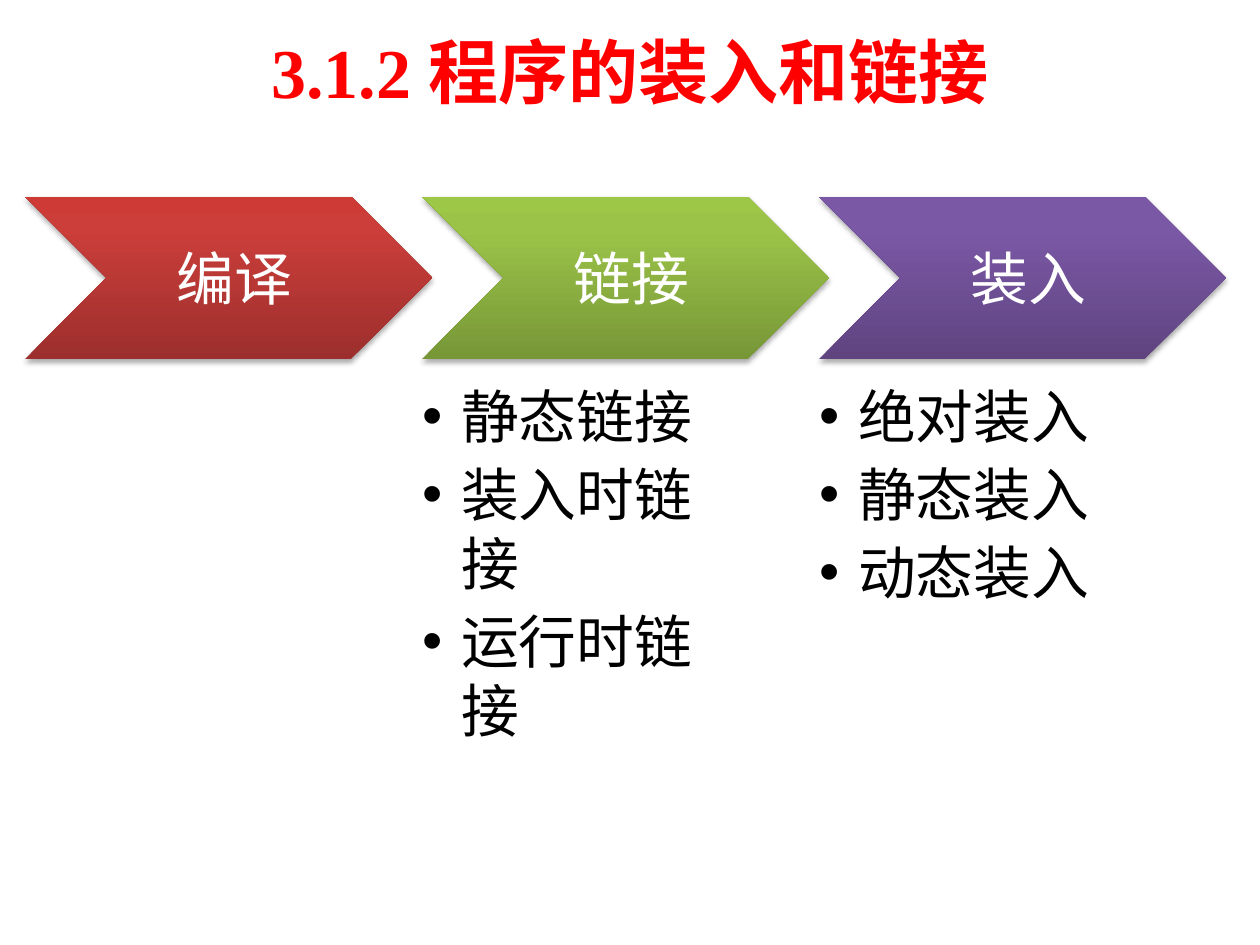
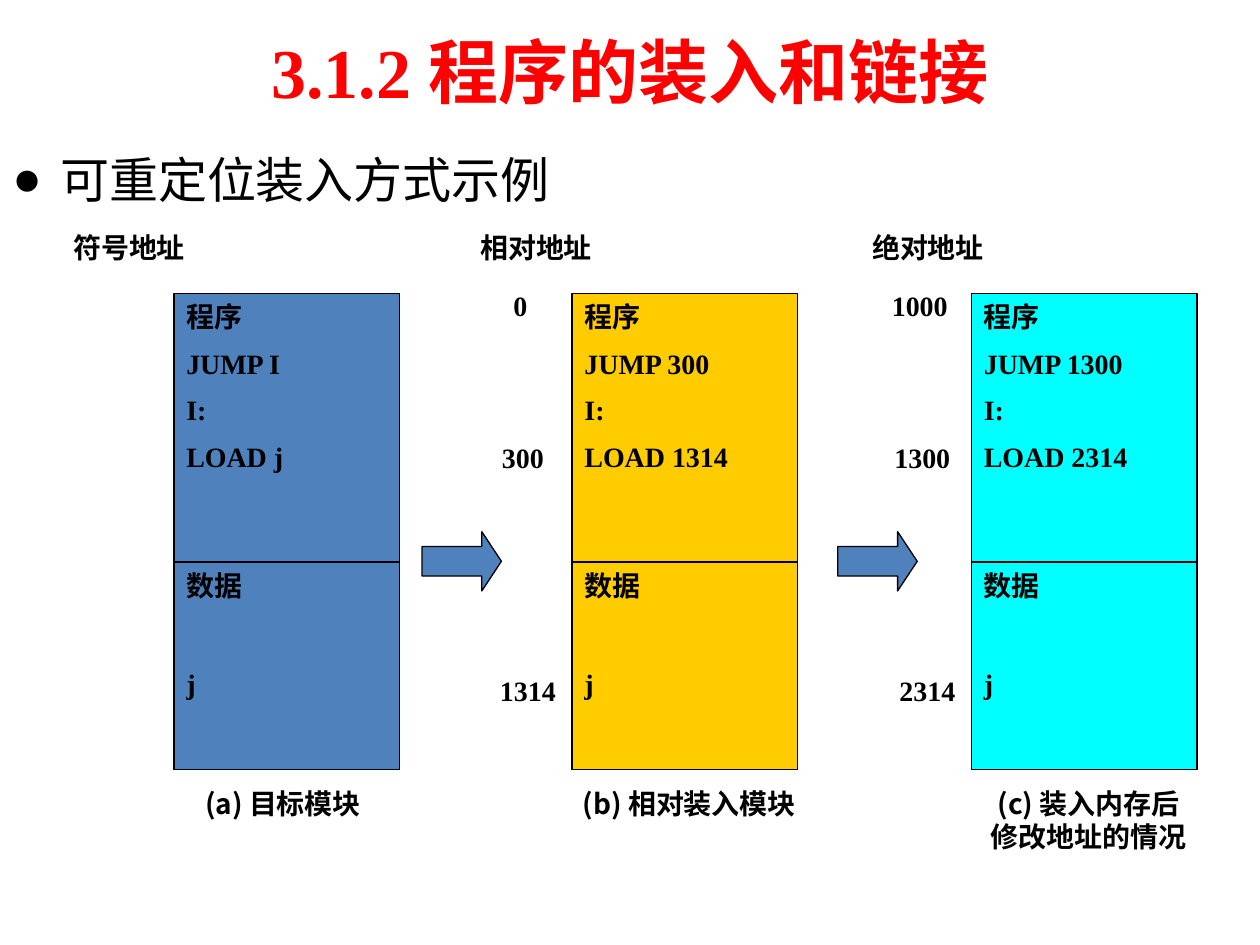
"""Build two slides on how programs are loaded and linked."""
from dataclasses import dataclass

from lxml import etree
from pptx import Presentation
from pptx.dml.color import RGBColor
from pptx.enum.shapes import MSO_SHAPE
from pptx.enum.text import MSO_ANCHOR, PP_ALIGN
from pptx.oxml.ns import nsdecls, qn
from pptx.util import Inches, Pt

RECT, ARROW, CHEVRON = MSO_SHAPE.RECTANGLE, MSO_SHAPE.RIGHT_ARROW, MSO_SHAPE.CHEVRON
TOP, MIDDLE = MSO_ANCHOR.TOP, MSO_ANCHOR.MIDDLE
LEFT, CENTER = PP_ALIGN.LEFT, PP_ALIGN.CENTER

COLORS = {"red": "FE0000", "black": "000000", "white": "FFFFFF",
          "blue": "4F81BD", "gold": "FFCC00", "cyan": "00FFFF"}
SERIF, SANS, CJK = "Times New Roman", "Arial", "Noto Sans CJK SC"


@dataclass(frozen=True)
class Style:
    size: float
    face: str
    color: str = "black"
    bold: bool = False
    align: int = LEFT
    anchor: int = TOP
    before: float = 0
    after: float = 0
    spacing: float = 1.0
    bullet: str = ""
    indent: float = 0
    insets: tuple[float, float, float, float] = (0.1, 0.05, 0.1, 0.05)


@dataclass(frozen=True)
class Step:
    name: str
    stops: tuple[str, str, str]
    items: tuple[str, ...] = ()


@dataclass(frozen=True)
class Module:
    left: float
    fill: str
    head: str
    head_left: float
    jump: str
    load: str
    caption: tuple[str, ...]
    width: float
    marks: tuple[str, ...] = ()


TITLE = Style(40, SERIF, "red", True, CENTER, MIDDLE)
TOPIC = Style(28, SERIF, before=6, after=6, spacing=0.8, bullet="●", indent=0.38)
STEP = Style(33, SANS, "white", align=CENTER, anchor=MIDDLE,
             insets=(0.14, 0.05, 0.05, 0.05))
ITEM = Style(33, SANS, after=5, bullet="•", indent=0.31, insets=(0, 0, 0, 0))
CODE = Style(16, SERIF, bold=True, before=3.7, after=3.7)
DATA = Style(16, SERIF, bold=True)
LABEL = Style(16, SERIF, bold=True, align=CENTER)
CAPTION = Style(16, CJK, bold=True, align=CENTER)

STEPS = (
    Step("编译", ("9C2F2D", "CB3E3A", "CE3B37")),
    Step("链接", ("779737", "9BC348", "9DC746"), ("静态链接", "装入时链接", "运行时链接")),
    Step("装入", ("5F4480", "7B58A6", "7C57A8"), ("绝对装入", "静态装入", "动态装入")),
)
MODULES = (
    Module(1.38, "blue", "符号地址", 0.35, "I", "j", ("(a) 目标模块",), 1.89),
    Module(4.54, "gold", "相对地址", 3.58, "300", "1314", ("(b) 相对装入模块",), 2.02,
           ("0", "300", "1314")),
    Module(7.71, "cyan", "绝对地址", 6.69, "1300", "2314",
           ("(c) 装入内存后", "修改地址的情况"), 2.02, ("1000", "1300", "2314")),
)
MARKS = ((-0.88, 2.24), (-0.86, 3.45), (-0.82, 5.3))


def apply(target, values: dict) -> None:
    """Set each named value on the target."""
    for key, value in values.items():
        setattr(target, key, value)


def paint(color, key: str) -> None:
    """Give a colour object a shared colour."""
    color.rgb = RGBColor.from_string(COLORS[key])


def write(shape, lines: tuple[str, ...], style: Style) -> None:
    """Write styled paragraphs into a shape."""
    frame = shape.text_frame
    sides = ("margin_left", "margin_top", "margin_right", "margin_bottom")
    apply(frame, {"word_wrap": True, "vertical_anchor": style.anchor})
    apply(frame, dict(zip(sides, map(Inches, style.insets))))
    for i, line in enumerate(lines):
        par = frame.add_paragraph() if i else frame.paragraphs[0]
        apply(par, {"alignment": style.align, "line_spacing": style.spacing,
                    "space_before": Pt(style.before), "space_after": Pt(style.after)})
        if style.bullet:
            props = par._p.get_or_add_pPr()
            props.set("marL", str(Inches(style.indent)))
            props.set("indent", str(-Inches(style.indent)))
            etree.SubElement(props, qn("a:buFont")).set("typeface", SANS)
            etree.SubElement(props, qn("a:buChar")).set("char", style.bullet)
        run = par.add_run()
        run.text = line
        apply(run.font, {"size": Pt(style.size), "name": style.face, "bold": style.bold})
        paint(run.font.color, style.color)


def add_text(slide, box: tuple[float, ...], lines: tuple[str, ...], style: Style) -> None:
    """Add a text box."""
    write(slide.shapes.add_textbox(*map(Inches, box)), lines, style)


def add_form(slide, kind: int, box: tuple[float, ...], fill: str = ""):
    """Add an outlined shape, filled if a colour is named."""
    shape = slide.shapes.add_shape(kind, *map(Inches, box))
    shape.shadow.inherit = False
    paint(shape.line.fill.fore_color if shape.line.fill.solid() else shape.line.color, "black")
    shape.line.width = Pt(0.75)
    if fill:
        shape.fill.solid()
        paint(shape.fill.fore_color, fill)
    else:
        shape.fill.background()
    return shape


def shade(shape, stops: tuple[str, str, str]) -> None:
    """Give a shape a rising gradient and a soft shadow."""
    shape.line.fill.background()
    marks = "".join(f'<a:gs pos="{pos}"><a:srgbClr val="{stop}"/></a:gs>'
                    for pos, stop in zip((0, 80000, 100000), stops))
    props = shape._element.spPr
    props.replace(props.find(qn("a:noFill")), etree.fromstring(
        f'<a:gradFill {nsdecls("a")}><a:gsLst>{marks}</a:gsLst>'
        '<a:lin ang="16200000" scaled="0"/></a:gradFill>'))
    props.find(qn("a:effectLst")).append(etree.fromstring(
        f'<a:outerShdw {nsdecls("a")} blurRad="{Pt(3.1)}" dist="{Pt(1.8)}" dir="5400000" '
        f'rotWithShape="0"><a:srgbClr val="{COLORS["black"]}"><a:alpha val="35000"/>'
        '</a:srgbClr></a:outerShdw>'))


def add_step(slide, step: Step, left: float) -> None:
    """Draw a chevron with its list below."""
    shape = add_form(slide, CHEVRON, (left, 1.56, 3.23, 1.29))
    shade(shape, step.stops)
    write(shape, (step.name,), STEP)
    if step.items:
        add_text(slide, (left, 3.02, 2.58, 2.92), step.items, ITEM)


def add_module(slide, mod: Module) -> None:
    """Draw a memory block with its labels."""
    code = add_form(slide, RECT, (mod.left, 2.33, 1.79, 3.78), mod.fill)
    write(code, ("程序", f"JUMP {mod.jump}", "I:", f"LOAD {mod.load}"), CODE)
    data = add_form(slide, RECT, (mod.left, 4.46, 1.79, 1.65))
    write(data, ("数据", "j"), DATA)
    data.text_frame.paragraphs[1].space_before = Pt(37)
    add_text(slide, (mod.head_left, 1.78, 1.35, 0.47), (mod.head,), LABEL)
    add_text(slide, (mod.left - 0.08, 6.19, mod.width, 0.47), mod.caption, CAPTION)
    for mark, (shift, top) in zip(mod.marks, MARKS):
        add_text(slide, (mod.left + shift, top, 0.94, 0.47), (mark,), LABEL)


def add_page(deck):
    """Add a blank slide with the shared title."""
    slide = deck.slides.add_slide(deck.slide_layouts[6])
    add_text(slide, (0.5, 0.05, 9, 1.02), ("3.1.2 程序的装入和链接",), TITLE)
    return slide


def main() -> None:
    """Build and save the deck."""
    deck = Presentation()
    apply(deck, {"slide_width": Inches(10), "slide_height": Inches(7.5)})
    flow = add_page(deck)
    for i, step in enumerate(STEPS):
        add_step(flow, step, 0.2 + 3.15 * i)
    demo = add_page(deck)
    add_text(demo, (0, 1.23, 9, 0.6), ("可重定位装入方式示例",), TOPIC)
    for mod in MODULES:
        add_module(demo, mod)
    for left in (3.35, 6.65):
        arrow = add_form(demo, ARROW, (left, 4.22, 0.63, 0.47), "blue")
        arrow.adjustments[1] = 0.33
    deck.save("out.pptx")


if __name__ == "__main__":
    main()
